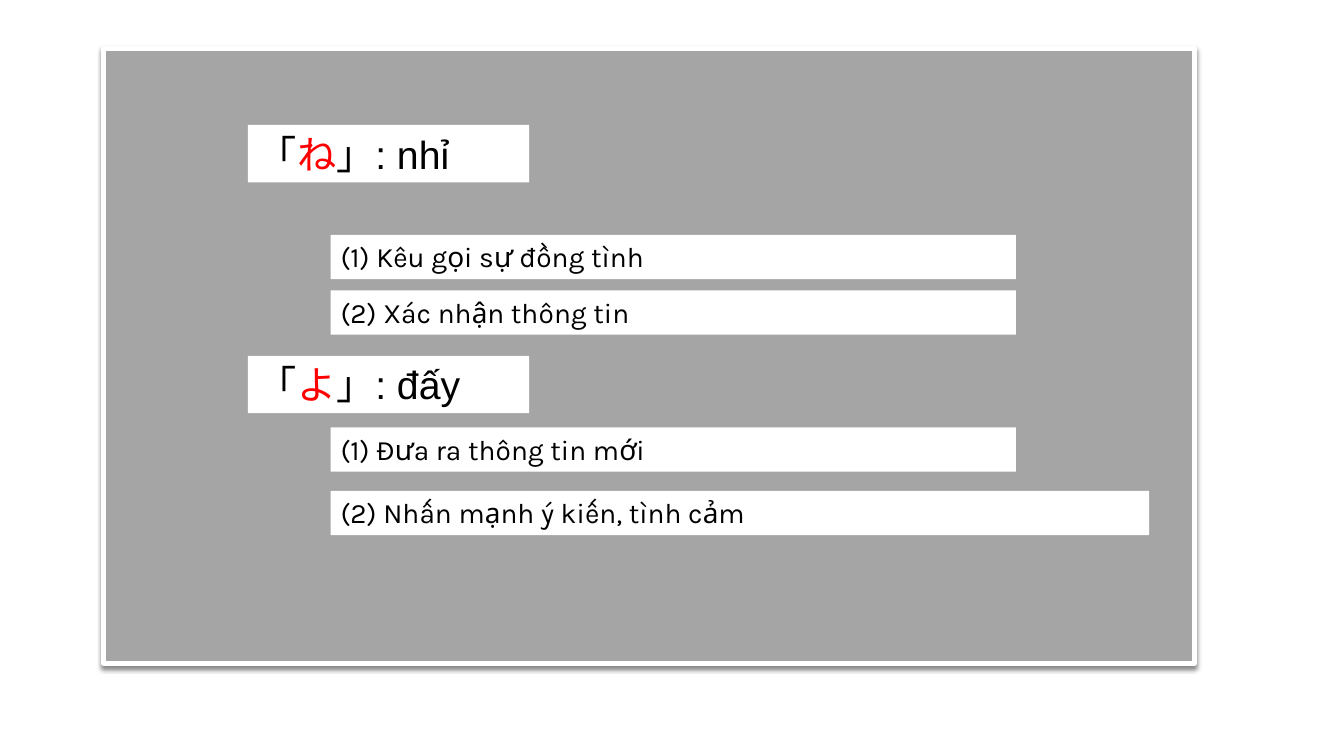
from dataclasses import dataclass

from lxml import etree
from pptx import Presentation
from pptx import util as u
from pptx.dml.color import RGBColor
from pptx.enum import shapes, text
from pptx.oxml.ns import qn

# Grid: ten columns and ten rows to the inch
CELL = u.Inches(0.1)
COLUMNS, ROWS = 133.33, 75

WHITE, BLACK, RED, GREY = "FFFFFF", "000000", "FF0000", "A5A5A5"
HEADING_LEFT, HEADING_WIDTH, HEADING_HEIGHT = 24.6, 27.9, 5.7
MEANING_LEFT, MEANING_HEIGHT = 32.8, 4.4


@dataclass
class Meaning:
    words: str
    row: float
    width: float = 68


@dataclass
class Particle:
    kana: str
    gloss: str
    row: float
    meanings: list[Meaning]


PARTICLES = [
    Particle("ね", "nhỉ", 12.4, [
        Meaning("(1) Kêu gọi sự đồng tình", 23.3),
        Meaning("(2) Xác nhận thông tin", 28.8),
    ]),
    Particle("よ", "đấy", 35.3, [
        Meaning("(1) Đưa ra thông tin mới", 42.4),
        Meaning("(2) Nhấn mạnh ý kiến, tình cảm", 48.7, width=81.2),
    ]),
]


def grid(count: float) -> int:
    return round(count * CELL)


def colour(code: str) -> RGBColor:
    return RGBColor.from_string(code)


def add_box(page, left: float, top: float, width: float, height: float, fill: str):
    box = page.shapes.add_shape(
        shapes.MSO_SHAPE.RECTANGLE, grid(left), grid(top), grid(width), grid(height))
    box.shadow.inherit = False
    box.fill.solid()
    box.fill.fore_color.rgb = colour(fill)
    box.line.fill.background()
    return box


def add_span(para, words: str, *, size: float, font: str, ink: str = BLACK) -> None:
    span = para.add_run()
    span.text = words
    span.font.size = u.Pt(size)
    span.font.name = font
    span.font.color.rgb = colour(ink)


def start_text(box):
    frame = box.text_frame
    frame.word_wrap = True
    frame.auto_size = text.MSO_AUTO_SIZE.SHAPE_TO_FIT_TEXT
    frame.vertical_anchor = text.MSO_ANCHOR.TOP
    para = frame.paragraphs[0]
    para.alignment = text.PP_ALIGN.LEFT
    return para


def add_shadow(box, *, blur: float, distance: float, opacity: int) -> None:
    effects = box._element.spPr.find(qn("a:effectLst"))
    shadow = etree.SubElement(
        effects, qn("a:outerShdw"), blurRad=str(u.Pt(blur)), dist=str(u.Pt(distance)),
        dir="5400000", algn="ctr", rotWithShape="0")
    tint = etree.SubElement(shadow, qn("a:srgbClr"), val=BLACK)
    etree.SubElement(tint, qn("a:alpha"), val=str(opacity * 1000))


def add_panel(page) -> None:
    panel = add_box(page, 10.3, 4.8, 108.2, 61, GREY)
    panel.line.color.rgb = colour(WHITE)
    panel.line.width = u.Pt(3.75)
    add_shadow(panel, blur=3, distance=2.4, opacity=45)


def add_particle(page, particle: Particle) -> None:
    # Heading with the kana in red
    heading = add_box(
        page, HEADING_LEFT, particle.row, HEADING_WIDTH, HEADING_HEIGHT, WHITE)
    para = start_text(heading)
    for words, ink in (("「", BLACK), (particle.kana, RED), (f"」: {particle.gloss}", BLACK)):
        add_span(para, words, size=28, font="Arial", ink=ink)

    # Meanings below it
    for meaning in particle.meanings:
        box = add_box(
            page, MEANING_LEFT, meaning.row, meaning.width, MEANING_HEIGHT, WHITE)
        add_span(start_text(box), meaning.words, size=20, font="Karla")


def main() -> None:
    deck = Presentation()
    deck.slide_width, deck.slide_height = grid(COLUMNS), grid(ROWS)
    page = deck.slides.add_slide(deck.slide_layouts[6])
    add_panel(page)
    for particle in PARTICLES:
        add_particle(page, particle)
    deck.save("out.pptx")


if __name__ == "__main__":
    main()
